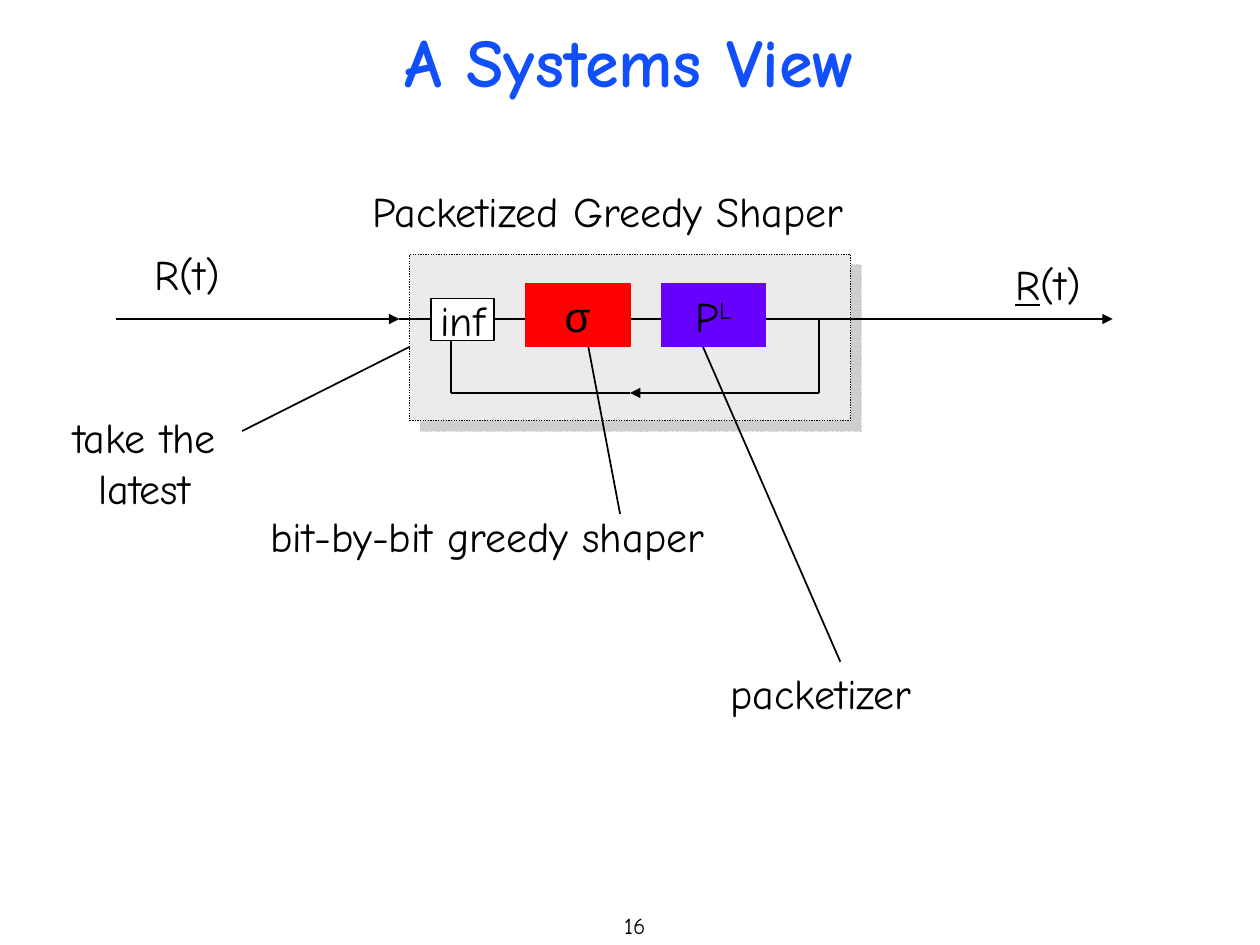
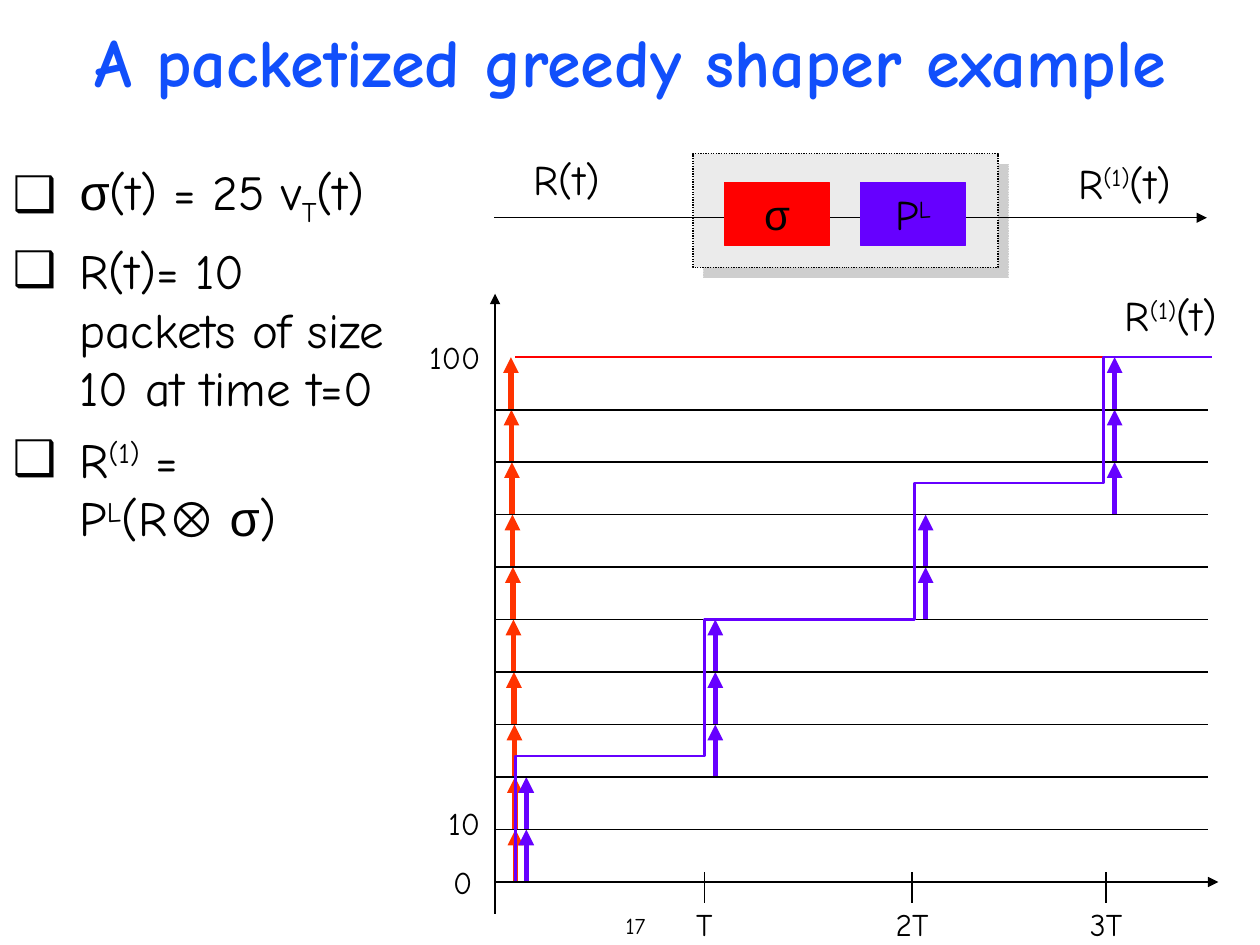
"""Build two slides on the packetized greedy shaper: its block diagram and a worked example."""
from dataclasses import dataclass

from lxml import etree
from pptx import Presentation
from pptx import util as u
from pptx.dml.color import RGBColor
from pptx.enum import dml, shapes, text
from pptx.oxml.ns import qn


@dataclass(frozen=True)
class Theme:
    """Colours, fonts and type sizes of the deck."""
    font: str = "Comic Neue"
    greek: str = "Arial"
    black: str = "000000"
    white: str = "FFFFFF"
    title: str = "114FFB"
    frame: str = "EBEBEB"
    shadow: str = "CECECE"
    red: str = "FF0000"
    arrival: str = "FF3300"
    violet: str = "6600FF"
    title_pt: float = 39
    body_pt: float = 28
    label_pt: float = 24
    axis_pt: float = 18
    number_pt: float = 13


T = Theme()

SIGMA = [("σ", "greek")]
PACKETIZER = ["P", ("L", "sup")]
OUTPUT = ["R", ("(1)", "sup"), "(t)"]

SYSTEM = {
    "title": "A Systems View",
    "number": "16",
    "frame": (8.26, 5.13, 8.89, 3.35),
    "input": (2.34, 6.43, 8.05, 6.43),
    "flow": (8.05, 22.43, 6.43),
    "first_block": 10.59,
    "labels": [
        (["R(t)"], 3.78, 4.88, 1.83),
        ([("R", "under"), "(t)"], 21.13, 5.08, 1.83),
        (["Packetized Greedy Shaper"], 12.26, 3.61, 10.08),
        (["bit-by-bit greedy shaper"], 9.82, 10.16, 9.27),
        (["packetizer"], 16.55, 13.34, 4.19),
    ],
    "wrapped": (["take the latest"], 2.91, 8.18, 4.8),
    "inf": (8.69, 6.02, 1.27, 0.84),
    "feedback": [(16.51, 6.43), (16.51, 7.92), (12.7, 7.92), (9.09, 7.92), (9.09, 6.43)],
    "callouts": [(8.26, 6.99, 4.88, 8.69), (14.17, 6.99, 16.94, 13.34),
                 (11.86, 6.99, 12.5, 10.36)],
}

EXAMPLE = {
    "title": "A packetized greedy shaper example",
    "number": "17",
    "frame": (13.97, 3.1, 6.15, 2.29),
    "flow": (9.96, 24.33, 4.39),
    "first_block": 14.61,
    "labels": [(["R(t)"], 11.43, 2.97, 1.83), (OUTPUT, 22.67, 3.05, 2.36),
               (OUTPUT, 23.61, 5.72, 2.36)],
    "bullets": [
        [("σ", "greek"), "(t) = 25 v", ("T", "sub"), "(t)"],
        ["R(t)= 10 packets of size 10 at time t=0"],
        ["R", ("(1)", "sup"), " = ", "\n", "P", ("L", "sup"), "(R", ("⊗ σ", "greek"), ")"],
    ],
    "y_labels": [("100", 9.17, 6.68), ("10", 9.36, 16.08), ("0", 9.33, 17.27)],
    "ticks": [("T", 14.2), ("2T", 18.39), ("3T", 22.3)],
    "steps": [(10.39, 24, 0, 20), (14.2, 50, 20, 50), (18.44, 76, 50, 70), (22.25, 100, 70, 100)],
}

BLOCK = (2.11, 1.27)
BLOCK_PITCH = 2.74
AXIS_X, AXIS_Y, PLOT_RIGHT, CURVE_RIGHT = 9.98, 17.78, 24.36, 24.43
UNIT = 0.1058
PACKET = 10


def rgb(hex_code):
    """Return a colour object for a hex code."""
    return RGBColor.from_string(hex_code)


def child(parent, tag, **attrs):
    """Append a DrawingML child element."""
    return etree.SubElement(parent, qn(f"a:{tag}"), attrs)


def write(p, runs, size, color=T.black, align=text.PP_ALIGN.CENTER, bold=False):
    """Fill a paragraph with plain strings and (text, style) pairs."""
    p.alignment = align
    p.font.name, p.font.size, p.font.bold = T.font, u.Pt(size), bold
    p.font.color.rgb = rgb(color)
    for item in runs:
        content, style = (item, "") if isinstance(item, str) else item
        if content == "\n":
            p.add_line_break()
            continue
        r = p.add_run()
        r.text = content
        if style == "greek":
            r.font.name = T.greek
        elif style == "under":
            r.font.underline = True
        elif style:
            r._r.get_or_add_rPr().set("baseline", {"sup": "30000", "sub": "-25000"}[style])


def label(s, runs, center, top, width, size=T.label_pt, wrap=False):
    """Add a text box centred on a horizontal position."""
    box = s.shapes.add_textbox(u.Cm(center - width / 2), u.Cm(top), u.Cm(width), u.Cm(size * 0.055))
    tf = box.text_frame
    tf.margin_left = tf.margin_right = 0
    tf.word_wrap, tf.auto_size = wrap, text.MSO_AUTO_SIZE.SHAPE_TO_FIT_TEXT
    write(tf.paragraphs[0], runs, size)


def line(s, x1, y1, x2, y2, color=T.black, width=1.0, arrow=False):
    """Add a straight line, with an arrowhead at its end if asked."""
    c = s.shapes.add_connector(shapes.MSO_CONNECTOR.STRAIGHT, u.Cm(x1), u.Cm(y1), u.Cm(x2), u.Cm(y2))
    c.line.color.rgb, c.line.width = rgb(color), u.Pt(width)
    if arrow:
        child(c.line._get_or_add_ln(), "tailEnd", type="triangle")
    child(c._element.spPr, "effectLst")


def block(s, runs, left, top, width, height, fill, edge):
    """Add a filled rectangle with centred text."""
    sp = s.shapes.add_shape(shapes.MSO_SHAPE.RECTANGLE, *map(u.Cm, (left, top, width, height)))
    sp.shadow.inherit = False
    sp.fill.solid()
    sp.fill.fore_color.rgb = rgb(fill)
    sp.line.color.rgb, sp.line.width = rgb(edge), u.Pt(0.75)
    if runs:
        sp.text_frame.word_wrap = False
        sp.text_frame.vertical_anchor = text.MSO_ANCHOR.MIDDLE
        write(sp.text_frame.paragraphs[0], runs, T.label_pt)
    return sp


def shaper(s, data):
    """Draw the shaded frame, the flow through it and its two blocks."""
    frame = block(s, [], *data["frame"], T.frame, T.black)
    frame.line.dash_style = dml.MSO_LINE.ROUND_DOT
    effects = frame._element.spPr.find(qn("a:effectLst"))
    shadow = child(effects, "outerShdw", blurRad="0", dist=str(u.Pt(8.5)), dir="2700000",
                   algn="tl", rotWithShape="0")
    child(shadow, "srgbClr", val=T.shadow)
    start, end, y = data["flow"]
    line(s, start, y, end, y, width=0.75, arrow=True)
    for i, (runs, color) in enumerate([(SIGMA, T.red), (PACKETIZER, T.violet)]):
        block(s, runs, data["first_block"] + i * BLOCK_PITCH, y - 0.71, *BLOCK, color, color)
    for item in data["labels"]:
        label(s, *item)


def place(sp, left, top, width, height, anchor):
    """Move a placeholder and return its text frame."""
    sp.left, sp.top, sp.width, sp.height = map(u.Cm, (left, top, width, height))
    tf = sp.text_frame
    tf.auto_size, tf.vertical_anchor, tf.word_wrap = text.MSO_AUTO_SIZE.NONE, anchor, True
    return tf


def new_slide(prs, layout, data):
    """Add a slide with the shared title and page number."""
    s = prs.slides.add_slide(prs.slide_layouts[layout])
    tf = place(s.shapes.title, 0, 0.25, 25.4, 1.91, text.MSO_ANCHOR.BOTTOM)
    write(tf.paragraphs[0], [data["title"]], T.title_pt, T.title, bold=True)
    box = s.shapes.add_textbox(u.Cm(10.49), u.Cm(18.26), u.Cm(2.77), u.Cm(0.79))
    box.text_frame.vertical_anchor = text.MSO_ANCHOR.MIDDLE
    box.text_frame.word_wrap = True
    write(box.text_frame.paragraphs[0], [data["number"]], T.number_pt, align=text.PP_ALIGN.RIGHT)
    return s


def bullets(sp, items):
    """Fill the body placeholder with a box-bulleted list."""
    tf = place(sp, 0, 3.12, 8.46, 15.24, text.MSO_ANCHOR.TOP)
    for i, runs in enumerate(items):
        p = tf.add_paragraph() if i else tf.paragraphs[0]
        p.space_before = u.Pt(7)
        pPr = p._p.get_or_add_pPr()
        pPr.set("marL", str(u.Cm(1.35)))
        pPr.set("indent", str(u.Cm(-1.35)))
        child(child(pPr, "buClr"), "srgbClr", val=T.black)
        child(pPr, "buChar", char="❑")
        write(p, runs, T.body_pt, align=text.PP_ALIGN.LEFT)


def level(value):
    """Return the height on the slide of an amount of data."""
    return AXIS_Y - value * UNIT


def packets(s, first, last, x, color, drift=0.0):
    """Stack one upward arrow per packet."""
    for i, v in enumerate(range(first, last, PACKET)):
        line(s, x - i * drift, level(v), x - i * drift, level(v + PACKET), color, 3, True)


def plot(s, data):
    """Draw arrivals, grid, axes and the stepped output curve."""
    steps = data["steps"]
    line(s, AXIS_X, 18.42, AXIS_X, 5.92, arrow=True)
    packets(s, 0, 100, steps[0][0], T.arrival, 0.01)
    line(s, steps[0][0], level(100), CURVE_RIGHT, level(100), T.red, 1.5)
    for x, _, first, last in steps:
        packets(s, first, last, x + 0.22, T.violet)
    for v in range(PACKET, 100, PACKET):
        line(s, AXIS_X, level(v), PLOT_RIGHT, level(v))
    for name, x in data["ticks"]:
        line(s, x, 17.58, x, 18.21)
        label(s, [name], x, 18.11, 1.17, T.axis_pt)
    for name, x, top in data["y_labels"]:
        label(s, [name], x, top, 1.52, T.axis_pt)

    points, height = [], 0
    for x, reached, *_ in steps:
        points += [(x, level(height)), (x, level(reached))]
        height = reached
    points.append((CURVE_RIGHT, level(height)))
    corners = [(u.Cm(x), u.Cm(y)) for x, y in points]
    pen = s.shapes.build_freeform(*corners[0])
    pen.add_line_segments(corners[1:], close=False)
    curve = pen.convert_to_shape()
    curve.shadow.inherit = False
    curve.fill.background()
    curve.line.color.rgb, curve.line.width = rgb(T.violet), u.Pt(1.5)
    line(s, AXIS_X, AXIS_Y, 24.56, AXIS_Y, arrow=True)


def main():
    """Build and save the deck."""
    prs = Presentation()
    prs.slide_width, prs.slide_height = u.Cm(25.4), u.Cm(19.05)

    s = new_slide(prs, 5, SYSTEM)
    line(s, *SYSTEM["input"], width=0.75, arrow=True)
    shaper(s, SYSTEM)
    label(s, *SYSTEM["wrapped"], wrap=True)
    loop = SYSTEM["feedback"]
    for i, (a, b) in enumerate(zip(loop, loop[1:])):
        line(s, *a, *b, width=0.75, arrow=i % 2 == 1)
    block(s, ["inf"], *SYSTEM["inf"], T.white, T.black)
    for ends in SYSTEM["callouts"]:
        line(s, *ends)

    s = new_slide(prs, 1, EXAMPLE)
    bullets(s.placeholders[1], EXAMPLE["bullets"])
    plot(s, EXAMPLE)
    shaper(s, EXAMPLE)

    prs.save("out.pptx")


if __name__ == "__main__":
    main()
